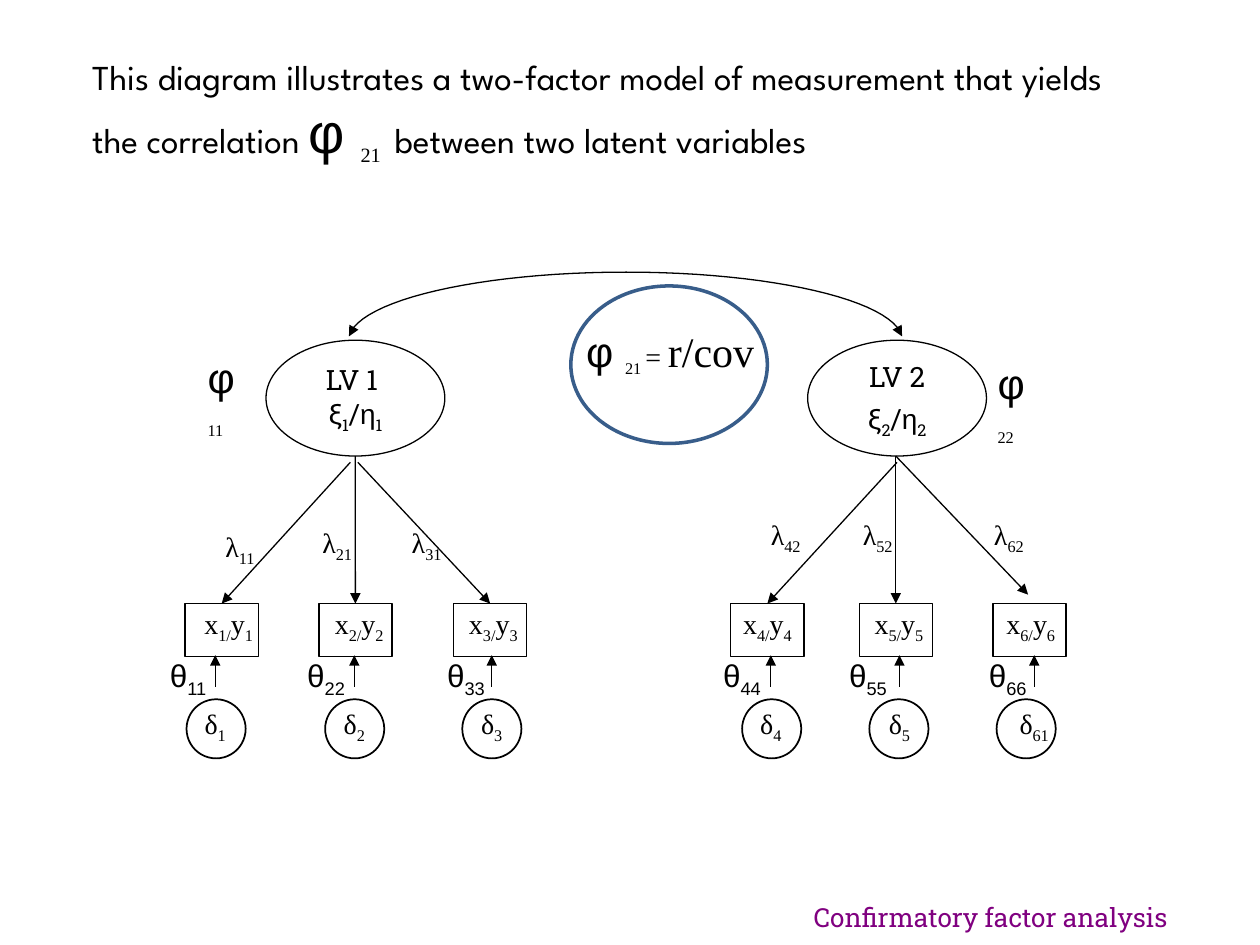
"""Build a slide with a two-factor measurement model."""
from lxml.etree import SubElement
from pptx import Presentation
from pptx.dml.color import RGBColor
from pptx.enum.shapes import MSO_CONNECTOR, MSO_SHAPE
from pptx.enum.text import MSO_ANCHOR, MSO_AUTO_SIZE, PP_ALIGN
from pptx.oxml.ns import qn
from pptx.util import Pt

SERIF, SANS, SLAB, HEAD = "Times New Roman", "Arial", "Roboto Slab", "League Spartan"
BLACK, BLUE, PURPLE = "000000", "385D8A", "800080"

# Text between a pair of underscores is set as a subscript.
TITLE = [
    ("This diagram illustrates a two-factor model of measurement that yields the correlation ", 20, HEAD),
    ("φ ", 32, SANS), ("_21 _", 20, SERIF), (" between two latent variables", 20, HEAD)]
FOOT = [("Confirmatory factor analysis", 15, SLAB)]
COV = [("φ ", 24, SANS), ("_21 _= ", 16, SERIF), ("r/cov", 24, SERIF)]

# left of ellipse, text top, text height, line spacing, paragraphs
FACTORS = [
    (152, 207.4, 41, 1, [[("LV 1 \vξ_1_/", 16, SLAB), ("η", 16, SANS), ("_1_", 16, SLAB)]]),
    (461.5, 208, 44, 0.65, [[("LV 2", 16, SLAB)],
                            [("ξ_2_/", 16, SLAB), ("η", 16, SANS), ("_2_", 16, SLAB)]])]
PHIS = [("11", 111.6, 207.4), ("22", 563, 211)]

# box left, label middle, circle left, error middle, theta left, theta, delta
ITEMS = [
    (105.8, 130.7, 106.6, 123, 90, "11", "1"),
    (182.2, 205.2, 185.8, 202.5, 168.5, "22", "2"),
    (259.2, 281.9, 264.2, 281, 248.4, "33", "3"),
    (417.6, 438.5, 424.1, 440.5, 406.1, "44", "4"),
    (491, 513.7, 496.8, 514, 478.1, "55", "5"),
    (567.4, 589, 569.5, 591, 558, "66", "61")]

# label, label left, label top, arrow start, free tip or None for a box top
LOADS = [
    ("11", 121.7, 298.8, (200.2, 264.2), None),
    ("21", 177.1, 296.6, (203, 260.6), None),
    ("31", 228.2, 296.6, (204.5, 264.2), None),
    ("42", 433.4, 291.6, (512.6, 264.2), None),
    ("52", 486, 291.6, (511.9, 260.6), None),
    ("62", 560.9, 291.6, (511.9, 260.6), (587.5, 339.8))]

ARC = [((199.4, 192.2), (205.2, 171.4), (274.3, 155.5), (357.8, 155.5)),
       ((357.8, 155.5), (440.6, 155.5), (509.8, 171.4), (515.5, 192.2))]
STEPS = 24


def color(code):
    return RGBColor.from_string(code)


def write(para, parts, tint=BLACK):
    for text, size, font in parts:
        for i, piece in enumerate(text.split("_")):
            for j, row in enumerate(piece.split("\v")):
                if j:
                    para.add_line_break()
                if not row:
                    continue
                run = para.add_run()
                run.text = row
                run.font.size, run.font.name = Pt(size), font
                run.font.color.rgb = color(tint)
                if i % 2:
                    run.font._element.set("baseline", "-25000")


def label(x, y, w, h, paras, align=PP_ALIGN.LEFT, tint=BLACK, space=1):
    frame = slide.shapes.add_textbox(Pt(x), Pt(y), Pt(w), Pt(h)).text_frame
    frame.word_wrap = True
    frame.vertical_anchor = MSO_ANCHOR.MIDDLE
    for i, parts in enumerate(paras):
        para = frame.add_paragraph() if i else frame.paragraphs[0]
        para.alignment, para.line_spacing = align, space
        if i:
            para.space_before = Pt(10)
        write(para, parts, tint)


def mid(x, y, w, h, paras, space=1):
    label(x - w / 2, y, w, h, paras, PP_ALIGN.CENTER, space=space)


def shape(kind, x, y, w, h, width=0.75, tint=BLACK):
    item = slide.shapes.add_shape(kind, Pt(x), Pt(y), Pt(w), Pt(h))
    item.shadow.inherit = False
    item.fill.background()
    item.line.color.rgb, item.line.width = color(tint), Pt(width)
    return item


def tip(item, *ends):
    item.line.color.rgb, item.line.width = color(BLACK), Pt(0.75)
    for end in ends:
        SubElement(item.line._get_or_add_ln(), qn("a:" + end), type="triangle")


def arrow(start, stop, box=None):
    item = slide.shapes.add_connector(MSO_CONNECTOR.STRAIGHT, *map(Pt, start + stop))
    if box is not None:
        item.end_connect(box, 0)
    tip(item, "tailEnd")
    SubElement(item._element.spPr, qn("a:effectLst"))


def curve(a, b, c, d):
    for i in range(1, STEPS + 1):
        t = i / STEPS
        u = 1 - t
        yield tuple(Pt(u**3 * p + 3 * u * u * t * q + 3 * u * t * t * r + t**3 * s)
                    for p, q, r, s in zip(a, b, c, d))


deck = Presentation()
deck.slide_width, deck.slide_height = Pt(720), Pt(540)
slide = deck.slides.add_slide(deck.slide_layouts[5])

title = slide.shapes.title
title.left, title.top, title.width, title.height = map(Pt, (45.4, 28.1, 618.5, 70.6))
frame = title.text_frame
frame.word_wrap, frame.auto_size = True, MSO_AUTO_SIZE.NONE
frame.vertical_anchor = MSO_ANCHOR.TOP
frame.paragraphs[0].alignment = PP_ALIGN.LEFT
write(frame.paragraphs[0], TITLE)

for x, y, h, space, paras in FACTORS:
    shape(MSO_SHAPE.OVAL, x, 194.4, 102.2, 66.2)
    mid(x + 51.1, y, 90, h, paras, space)
for sub, x, y in PHIS:
    label(x, y, 41.8, 37.4, [[("φ ", 24, SANS), (f"_{sub}_", 16, SERIF)]])

boxes = []
for n, (x, name, ring, err, theta, sub, delta) in enumerate(ITEMS, 1):
    boxes.append(shape(MSO_SHAPE.RECTANGLE, x, 344.9, 41.8, 30.2))
    mid(name, 342.7, 60, 29.5, [[(f"x_{n}/_y_{n}_", 16, SERIF)]])
    arrow((err, 392.4), (err, 374.4))
    label(theta, 371.5, 44, 31.7, [[(f"θ_{sub}_", 18, SANS)]])
    shape(MSO_SHAPE.OVAL, ring, 399.6, 33.8, 33.8, 1)
    mid(err, 399.6, 44, 29.5, [[(f"δ_{delta}_", 16, SERIF)]])

for box, (sub, x, y, start, stop) in zip(boxes, LOADS):
    arrow(start, stop or start, None if stop else box)
    label(x, y, 38, 29.5, [[(f"λ_{sub}_", 16, SERIF)]])

pen = slide.shapes.build_freeform(*map(Pt, ARC[0][0]))
pen.add_line_segments([dot for half in ARC for dot in curve(*half)], close=False)
arc = pen.convert_to_shape()
arc.shadow.inherit = False
arc.fill.background()
tip(arc, "headEnd", "tailEnd")

shape(MSO_SHAPE.OVAL, 326.2, 163.4, 112.3, 90, 2, BLUE)
mid(383, 182.2, 140, 37.4, [COV])
label(457.9, 511.2, 222.5, 25.2, [FOOT], tint=PURPLE)

deck.save("out.pptx")
